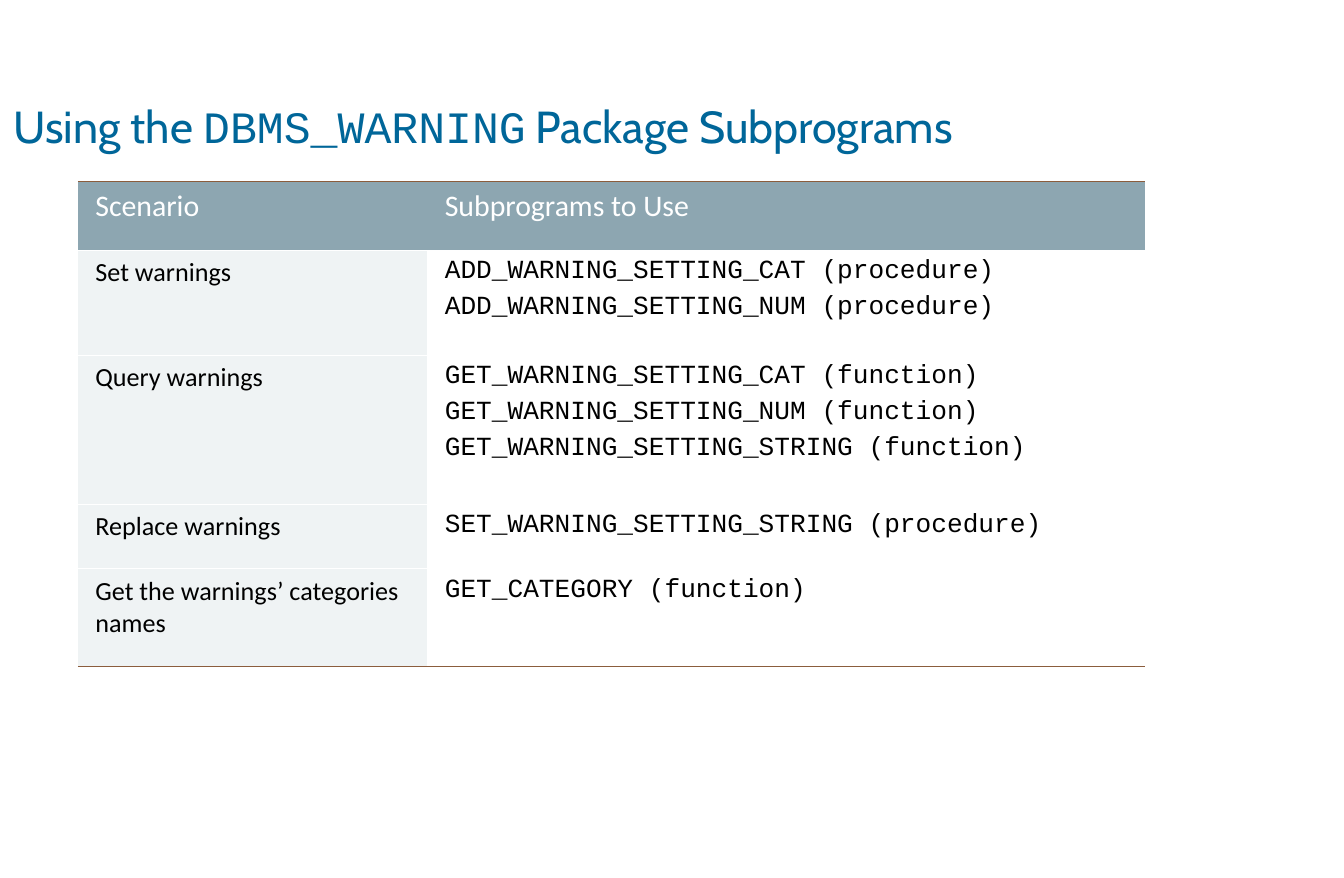
from pptx import Presentation
from pptx.dml.color import RGBColor
from pptx.enum.text import MSO_ANCHOR as Anchor, PP_ALIGN as Align
from pptx.oxml import parse_xml
from pptx.oxml.ns import nsdecls
from pptx.util import Inches, Pt

TITLE = [("Using the ", "Cabin"), ("DBMS_WARNING", "Courier New"),
         (" Package Subprograms", "Cabin")]
HEADINGS = ["Scenario", "Subprograms to Use"]
SCENARIOS = [
    ("Set warnings", ["ADD_WARNING_SETTING_CAT (procedure)",
                      "ADD_WARNING_SETTING_NUM (procedure)"]),
    ("Query warnings", ["GET_WARNING_SETTING_CAT (function)",
                        "GET_WARNING_SETTING_NUM (function)",
                        "GET_WARNING_SETTING_STRING (function)"]),
    ("Replace warnings", ["SET_WARNING_SETTING_STRING (procedure)"]),
    ("Get the warnings’ categories names", ["GET_CATEGORY (function)"]),
]
COLUMN_WIDTHS = [2.6, 5.34]
ROW_HEIGHTS = [0.51, 0.78, 1.11, 0.48, 0.73]
BLUE, SLATE, PALE, WHITE, BLACK, EDGE = (
    "006699", "8DA6B1", "EFF3F4", "FFFFFF", "000000", "8B5D3D")


def add_text(para, text, font="Calibri", size=14, color=BLACK):
    span = para.add_run()
    span.text = text
    span.font.name = font
    span.font.size = Pt(size)
    span.font.bold = False
    span.font.color.rgb = RGBColor.from_string(color)


def set_borders(cell, top=None, bottom=None):
    sides = {"lnL": None, "lnR": None, "lnT": top, "lnB": bottom}
    properties = cell._tc.get_or_add_tcPr()
    for index, (side, color) in enumerate(sides.items()):
        paint = (f'<a:solidFill><a:srgbClr val="{color}"/></a:solidFill>'
                 if color else "<a:noFill/>")
        properties.insert(index, parse_xml(
            f'<a:{side} {nsdecls("a")} w="{Pt(0.45)}">{paint}</a:{side}>'))


def fill_cell(cell, lines, fill=None, top=None, bottom=None, **style):
    cell.margin_left = cell.margin_right = Inches(0.13)
    cell.margin_top = cell.margin_bottom = Inches(0.05)
    cell.vertical_anchor = Anchor.TOP
    if fill:
        cell.fill.solid()
        cell.fill.fore_color.rgb = RGBColor.from_string(fill)
    else:
        cell.fill.background()
    set_borders(cell, top, bottom)
    for index, line in enumerate(lines):
        para = cell.text_frame.paragraphs[0]
        if index:
            para = cell.text_frame.add_paragraph()
            para.space_before = Pt(3.5)
        add_text(para, line, **style)


def add_title(page):
    title = page.shapes.title
    title.left, title.top = Inches(0), Inches(0.6)
    title.width, title.height = Inches(9), Inches(0.67)
    title.text_frame.vertical_anchor = Anchor.MIDDLE
    para = title.text_frame.paragraphs[0]
    para.alignment = Align.LEFT
    for text, font in TITLE:
        add_text(para, text, font=font, size=24, color=BLUE)


def add_scenarios(page):
    table = page.shapes.add_table(
        len(ROW_HEIGHTS), len(COLUMN_WIDTHS), Inches(0.58), Inches(1.35),
        Inches(sum(COLUMN_WIDTHS)), Inches(sum(ROW_HEIGHTS))).table
    table.first_row = table.horz_banding = False
    for column, width in zip(table.columns, COLUMN_WIDTHS):
        column.width = Inches(width)
    for row, height in zip(table.rows, ROW_HEIGHTS):
        row.height = Inches(height)
    for column, heading in enumerate(HEADINGS):
        fill_cell(table.cell(0, column), [heading], fill=SLATE, top=EDGE,
                  bottom=None if column else WHITE, size=16, color=WHITE)
    for row, (scenario, subprograms) in enumerate(SCENARIOS, 1):
        last = row == len(SCENARIOS)
        fill_cell(table.cell(row, 0), [scenario], fill=PALE, top=WHITE,
                  bottom=EDGE if last else WHITE)
        fill_cell(table.cell(row, 1), subprograms,
                  bottom=EDGE if last else None, font="Courier New")


def main():
    """Build the slide on warning subprograms and save it."""
    deck = Presentation()
    deck.slide_width, deck.slide_height = Inches(10), Inches(6.53)
    page = deck.slides.add_slide(deck.slide_layouts[5])
    add_title(page)
    add_scenarios(page)
    deck.save("out.pptx")


if __name__ == "__main__":
    main()
